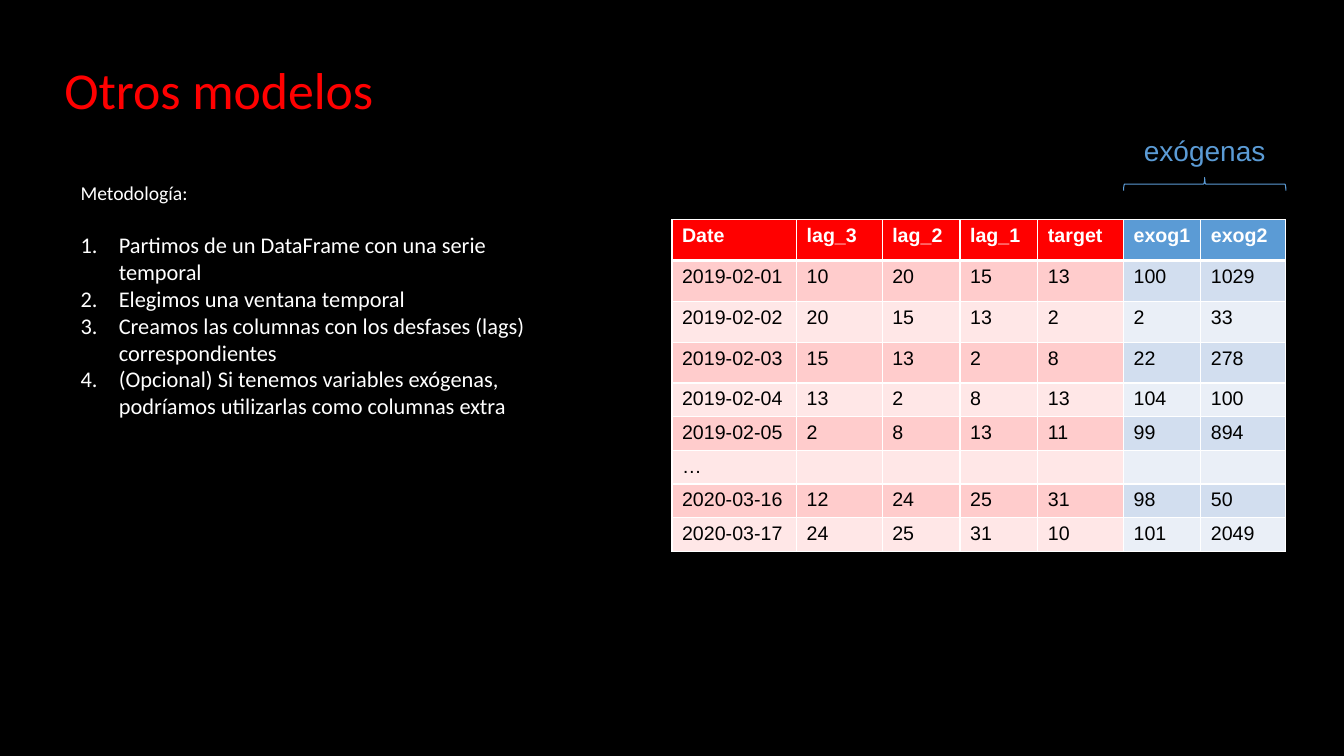
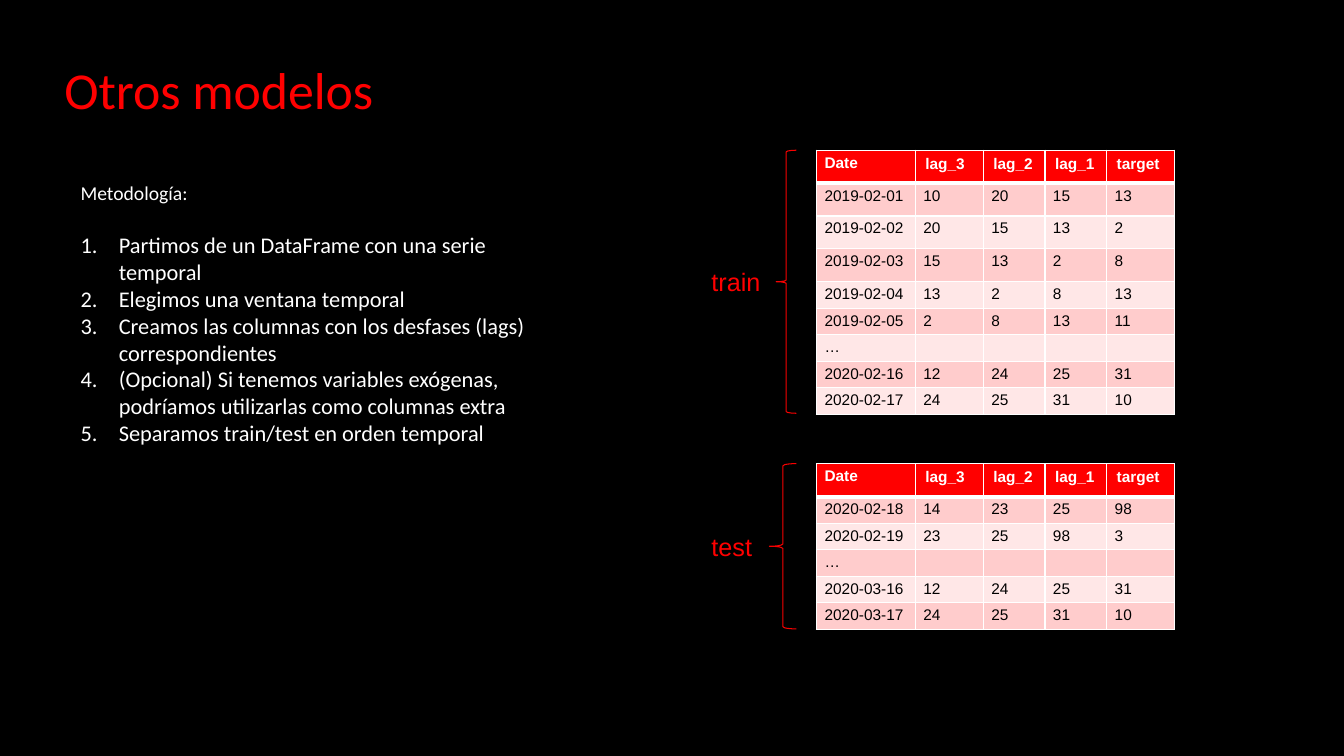
from dataclasses import dataclass
from typing import NamedTuple

from lxml.etree import SubElement
from pptx import Presentation
from pptx.dml.color import RGBColor
from pptx.enum.shapes import MSO_SHAPE
from pptx.enum.text import MSO_ANCHOR, PP_ALIGN
from pptx.oxml import parse_xml
from pptx.oxml.ns import nsdecls, qn
from pptx.util import Emu, Inches, Pt

WIDE, HIGH = Inches(13.33), Inches(7.5)


# Shared look: colours, fonts and type sizes
@dataclass(frozen=True)
class Theme:
    back: str = "000000"
    white: str = "FFFFFF"
    ink: str = "000000"
    red: str = "FF0000"
    brace: str = "F90000"
    blue: str = "5B9BD5"
    reds: tuple = ("FFCCCC", "FFE7E7")
    blues: tuple = ("D2DEEF", "EAEFF7")
    prose: str = "Calibri"
    data: str = "Arial"
    title: float = 37
    intro: float = 14
    step: float = 16
    large: float = 14
    small: float = 11
    tag: float = 20
    side: float = 18


LOOK = Theme()


class Box(NamedTuple):
    left: int
    top: int
    width: int
    height: int


def area(left, top, width, height):
    """Box from percentages of the slide's size."""
    return Box(*(Emu(round(part * full / 100)) for part, full in
                 zip((left, top, width, height), (WIDE, HIGH, WIDE, HIGH))))


TITLE = area(4.05, 4.67, 86.25, 15.2)
STEPS = area(5.25, 22.53, 37.43, 46.8)
LAGS = area(50, 29.07, 33.6, 43.2)
EXTRA = area(83.6, 29.07, 12.08, 43.2)
TRAIN = area(60.75, 19.87, 26.65, 34.8)
TEST = area(60.75, 61.33, 26.65, 21.87)

HEADS = ["Date", "lag_3", "lag_2", "lag_1", "target"]
SPANS = {"Date": 16, "lag_3": 11, "lag_2": 10, "lag_1": 10, "target": 11,
         "exog1": 10, "exog2": 11}
GAP = ["…", "", "", "", ""]
FIRST = [
    ["2019-02-01", 10, 20, 15, 13],
    ["2019-02-02", 20, 15, 13, 2],
    ["2019-02-03", 15, 13, 2, 8],
    ["2019-02-04", 13, 2, 8, 13],
    ["2019-02-05", 2, 8, 13, 11],
    GAP,
]
ENDS = [[12, 24, 25, 31], [24, 25, 31, 10]]
MARCH = [[f"2020-03-{day}", *row] for day, row in zip((16, 17), ENDS)]
FEB = [[f"2020-02-{day}", *row] for day, row in zip((16, 17), ENDS)]
LATER = [["2020-02-18", 14, 23, 25, 98], ["2020-02-19", 23, 25, 98, 3], GAP]
EXOG = [[100, 1029], [2, 33], [22, 278], [104, 100], [99, 894], ["", ""],
        [98, 50], [101, 2049]]
METHOD = [
    "Partimos de un DataFrame con una serie temporal",
    "Elegimos una ventana temporal",
    "Creamos las columnas con los desfases (lags) correspondientes",
    "(Opcional) Si tenemos variables exógenas, podríamos utilizarlas como columnas extra",
]


# Basic helpers
def apply(thing, **values):
    for name, value in values.items():
        setattr(thing, name, value)


def write(para, text, size, tint, face, bold=False):
    if not text:
        SubElement(para._p, qn("a:endParaRPr")).set("sz", str(size * 100))
        return
    run = para.add_run()
    run.text = text
    apply(run.font, size=Pt(size), name=face, bold=bold)
    run.font.color.rgb = RGBColor.from_string(tint)


def frame(slide, box, inset=0.05, anchor=MSO_ANCHOR.TOP, wrap=True):
    text = slide.shapes.add_textbox(*box).text_frame
    apply(text, word_wrap=wrap, vertical_anchor=anchor,
          margin_left=Inches(0.1), margin_right=Inches(0.1),
          margin_top=Inches(inset), margin_bottom=Inches(inset))
    return text


def number(para):
    props = para._p.get_or_add_pPr()
    apply_in = {"marL": Inches(0.38), "indent": -Inches(0.38)}
    for name, value in apply_in.items():
        props.set(name, str(value))
    tint = SubElement(props, qn("a:buClr"))
    SubElement(tint, qn("a:srgbClr")).set("val", LOOK.white)
    SubElement(props, qn("a:buAutoNum")).set("type", "arabicPeriod")


def edge(cell, **widths):
    """Border lines go before the fill in the cell's properties."""
    props = cell._tc.get_or_add_tcPr()
    for spot, (side, points) in enumerate(widths.items()):
        props.insert(spot, parse_xml(
            f'<a:ln{side} {nsdecls("a")} w="{Pt(points)}"><a:solidFill>'
            f'<a:srgbClr val="{LOOK.white}"/></a:solidFill></a:ln{side}>'))


# Title and method list
def base(deck, steps):
    slide = deck.slides.add_slide(deck.slide_layouts[6])
    fill = slide.background.fill
    fill.solid()
    fill.fore_color.rgb = RGBColor.from_string(LOOK.back)

    para = frame(slide, TITLE, anchor=MSO_ANCHOR.MIDDLE).paragraphs[0]
    para.line_spacing = 0.9
    write(para, "Otros modelos", LOOK.title, LOOK.red, LOOK.prose)

    text = frame(slide, STEPS, inset=0.1)
    write(text.paragraphs[0], "Metodología:", LOOK.intro, LOOK.white, LOOK.prose)
    for index, step in enumerate(steps):
        para = text.add_paragraph()
        number(para)
        if index == 0:
            para.space_before = Pt(19.5)
        write(para, step, LOOK.step, LOOK.white, LOOK.prose)
    return slide


# Data table: tall rows stand to short rows as 5 to 4
def grid(slide, box, heads, rows, size, tall, head=LOOK.red, bands=LOOK.reds):
    table = slide.shapes.add_table(len(rows) + 1, len(heads), *box).table
    apply(table, first_row=False, horz_banding=False)
    spans = [SPANS[name] for name in heads]
    for col, span in zip(table.columns, spans):
        col.width = box.width * span // sum(spans)
    parts = [5 if index < tall else 4 for index in range(len(rows) + 1)]
    for row, part in zip(table.rows, parts):
        row.height = box.height * part // sum(parts)

    for r, values in enumerate([heads, *rows]):
        for c, value in enumerate(values):
            cell = table.cell(r, c)
            roomy = size == LOOK.large or (r == 0 and c > 0)
            side, rim = (0.1, 0.05) if roomy else (0.08, 0.04)
            apply(cell, margin_left=Inches(side), margin_right=Inches(side),
                  margin_top=Inches(rim), margin_bottom=Inches(rim))
            cell.fill.solid()
            shade = bands[(r - 1) % 2] if r else head
            cell.fill.fore_color.rgb = RGBColor.from_string(shade)
            edge(cell, L=1, R=1, T=3 if r == 1 else 1, B=1 if r else 3)
            write(cell.text_frame.paragraphs[0], str(value), size,
                  LOOK.ink if r else LOOK.white, LOOK.data, bold=r == 0)


# Braces and their labels
def brace(slide, kind, box, tint, turn=0):
    shape = slide.shapes.add_shape(kind, *box)
    shape.rotation = turn
    shape.shadow.inherit = False
    shape.fill.background()
    shape.line.color.rgb = RGBColor.from_string(tint)
    shape.line.width = Pt(0.75)


def above(slide, box, label):
    depth = HIGH * 0.0173
    mid = box.top - HIGH * 0.0473
    upright = Box(*map(round, (box.left + (box.width - depth) / 2,
                               mid - box.width / 2, depth, box.width)))
    brace(slide, MSO_SHAPE.RIGHT_BRACE, upright, LOOK.blue, turn=270)
    spot = Box(box.left, round(box.top - HIGH * 0.1213), box.width,
               round(HIGH * 0.0587))
    para = frame(slide, spot, wrap=False).paragraphs[0]
    para.alignment = PP_ALIGN.CENTER
    write(para, label, LOOK.tag, LOOK.blue, LOOK.data)


def beside(slide, box, label, depth):
    width = round(WIDE * depth)
    right = box.left - round(WIDE * 0.015)
    brace(slide, MSO_SHAPE.LEFT_BRACE,
          Box(right - width, box.top, width, box.height), LOOK.brace)
    high = round(HIGH * 0.0533)
    spot = Box(box.left - round(WIDE * 0.0855),
               box.top + (box.height - high) // 2, round(WIDE * 0.052), high)
    text = frame(slide, spot, anchor=MSO_ANCHOR.MIDDLE, wrap=False)
    para = text.paragraphs[0]
    para.alignment = PP_ALIGN.LEFT
    write(para, label, LOOK.side, LOOK.red, LOOK.data)


# Slides
def extra(deck):
    slide = base(deck, METHOD)
    grid(slide, LAGS, HEADS, FIRST + MARCH, LOOK.large, tall=4)
    grid(slide, EXTRA, ["exog1", "exog2"], EXOG, LOOK.large, tall=4,
         head=LOOK.blue, bands=LOOK.blues)
    above(slide, EXTRA, "exógenas")


def split(deck):
    slide = base(deck, METHOD + ["Separamos train/test en orden temporal"])
    for box, rows, tall, label, depth in (
            (TRAIN, FIRST + FEB, 4, "train", 0.015),
            (TEST, LATER + MARCH, 1, "test", 0.02)):
        grid(slide, box, HEADS, rows, LOOK.small, tall)
        beside(slide, box, label, depth)


def main():
    deck = Presentation()
    apply(deck, slide_width=WIDE, slide_height=HIGH)
    extra(deck)
    split(deck)
    deck.save("out.pptx")


if __name__ == "__main__":
    main()
